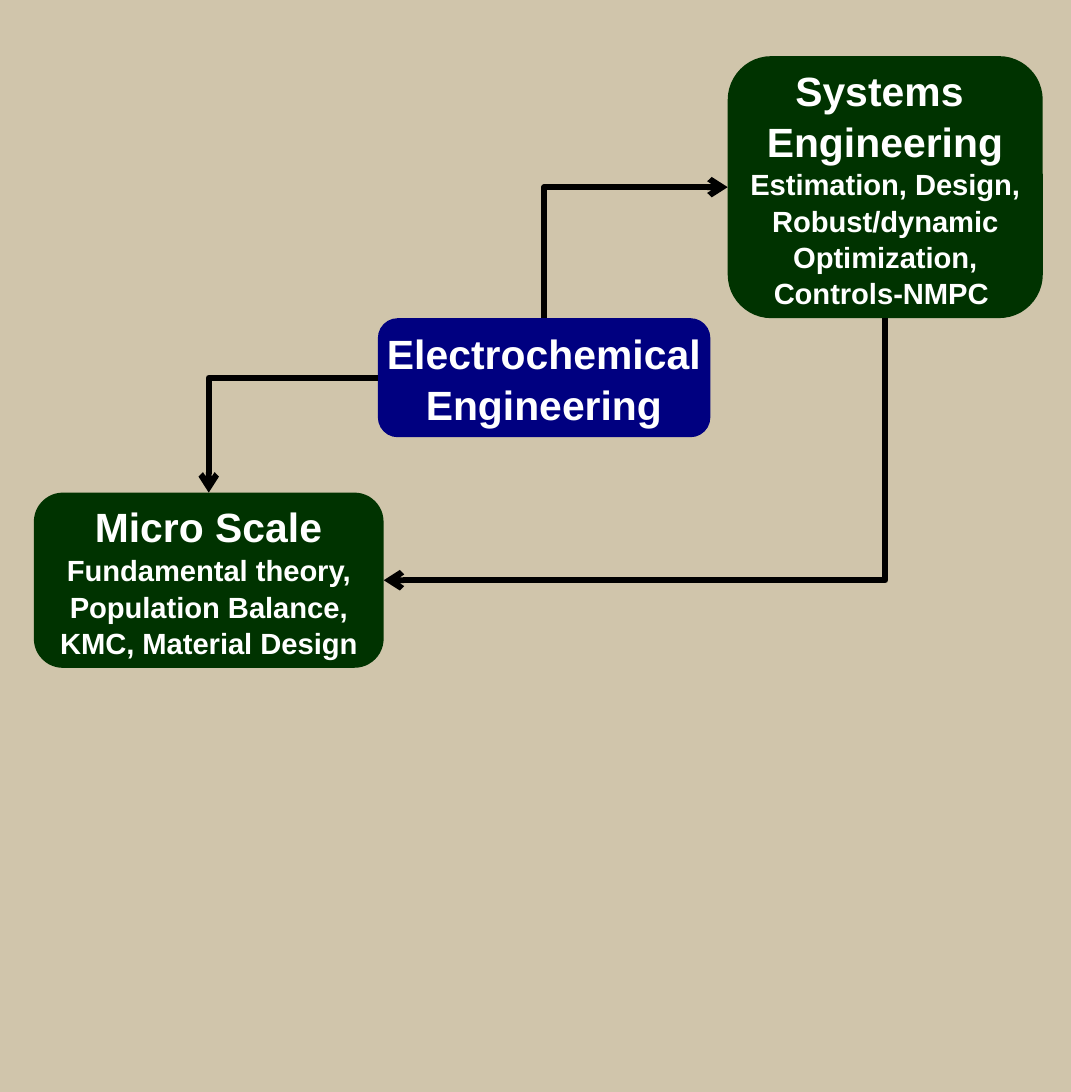
from lxml import etree
from pptx import Presentation
from pptx.dml.color import RGBColor
from pptx.enum.shapes import MSO_CONNECTOR, MSO_SHAPE
from pptx.enum.text import MSO_ANCHOR, PP_ALIGN
from pptx.oxml.ns import qn
from pptx.util import Cm, Pt

ROUNDED_BOX = MSO_SHAPE.FLOWCHART_ALTERNATE_PROCESS
ELBOW = MSO_CONNECTOR.ELBOW
MIDDLE = MSO_ANCHOR.MIDDLE
CENTER = PP_ALIGN.CENTER

COLORS = {
    "background": "D0C5AB",
    "field": "003300",
    "core": "000080",
    "text": "FFFFFF",
    "arrow": "000000",
}


def color(name):
    return RGBColor.from_string(COLORS[name])


def add_topic(slide, box, fill, heading, details=()):
    shape = slide.shapes.add_shape(ROUNDED_BOX, *[Cm(length) for length in box])
    shape.shadow.inherit = False
    shape.fill.solid()
    shape.fill.fore_color.rgb = color(fill)
    shape.line.fill.background()
    frame = shape.text_frame
    frame.word_wrap = False
    frame.vertical_anchor = MIDDLE
    lines = [(text, 14) for text in heading] + [(text, 10) for text in details]
    for index, (text, size) in enumerate(lines):
        paragraph = frame.add_paragraph() if index else frame.paragraphs[0]
        paragraph.text = text
        paragraph.alignment = CENTER
        paragraph.line_spacing = 1.04
        paragraph.font.name = "Arial"
        paragraph.font.size = Pt(size)
        paragraph.font.bold = True
        paragraph.font.color.rgb = color("text")
    return shape


def side_middle(shape, side):
    across, down = {
        "top": (0.5, 0), "left": (0, 0.5), "bottom": (0.5, 1), "right": (1, 0.5),
    }[side]
    return shape.left + shape.width * across, shape.top + shape.height * down


def add_bent_arrow(slide, source, source_side, target, target_side):
    x1, y1 = side_middle(source, source_side)
    x2, y2 = side_middle(target, target_side)
    vertical_first = source_side in ("top", "bottom")
    if vertical_first:
        center_x, center_y = (x1 + x2) / 2, (y1 + y2) / 2
        half_width, half_height = (x2 - x1) / 2, (y2 - y1) / 2
        x1, y1 = center_x - half_height, center_y + half_width
        x2, y2 = center_x + half_height, center_y - half_width
    ends = [round(length) for length in (x1, y1, x2, y2)]
    connector = slide.shapes.add_connector(ELBOW, *ends)
    connector.line.color.rgb = color("arrow")
    connector.line.width = Pt(2)
    properties = connector._element.spPr
    properties.find(qn("a:prstGeom")).set("prst", "bentConnector2")
    if vertical_first:
        properties.find(qn("a:xfrm")).set("rot", "5400000")
    outline = properties.find(qn("a:ln"))
    etree.SubElement(outline, qn("a:round"))
    etree.SubElement(outline, qn("a:tailEnd"), type="arrow")
    etree.SubElement(properties, qn("a:effectLst"))


def add_research_map(slide, left, top):
    micro = add_topic(
        slide, (left, top + 5.28, 4.23, 2.12), "field", ["Micro Scale"],
        ["Fundamental theory,", "Population Balance,", "KMC, Material Design"],
    )
    systems = add_topic(
        slide, (left + 8.39, top, 3.81, 3.17), "field", ["Systems ", "Engineering"],
        ["Estimation, Design,", "Robust/dynamic", "Optimization,", "Controls-NMPC "],
    )
    core = add_topic(
        slide, (left + 4.16, top + 3.17, 4.02, 1.44), "core",
        ["Electrochemical", "Engineering"],
    )
    add_bent_arrow(slide, core, "top", systems, "left")
    add_bent_arrow(slide, core, "left", micro, "top")
    add_bent_arrow(slide, systems, "bottom", micro, "right")


def main():
    presentation = Presentation()
    presentation.slide_width = Cm(12.95)
    presentation.slide_height = Cm(13.21)
    slide = presentation.slides.add_slide(presentation.slide_layouts[6])
    slide.background.fill.solid()
    slide.background.fill.fore_color.rgb = color("background")
    add_research_map(slide, 0.41, 0.68)
    presentation.save("out.pptx")


if __name__ == "__main__":
    main()
